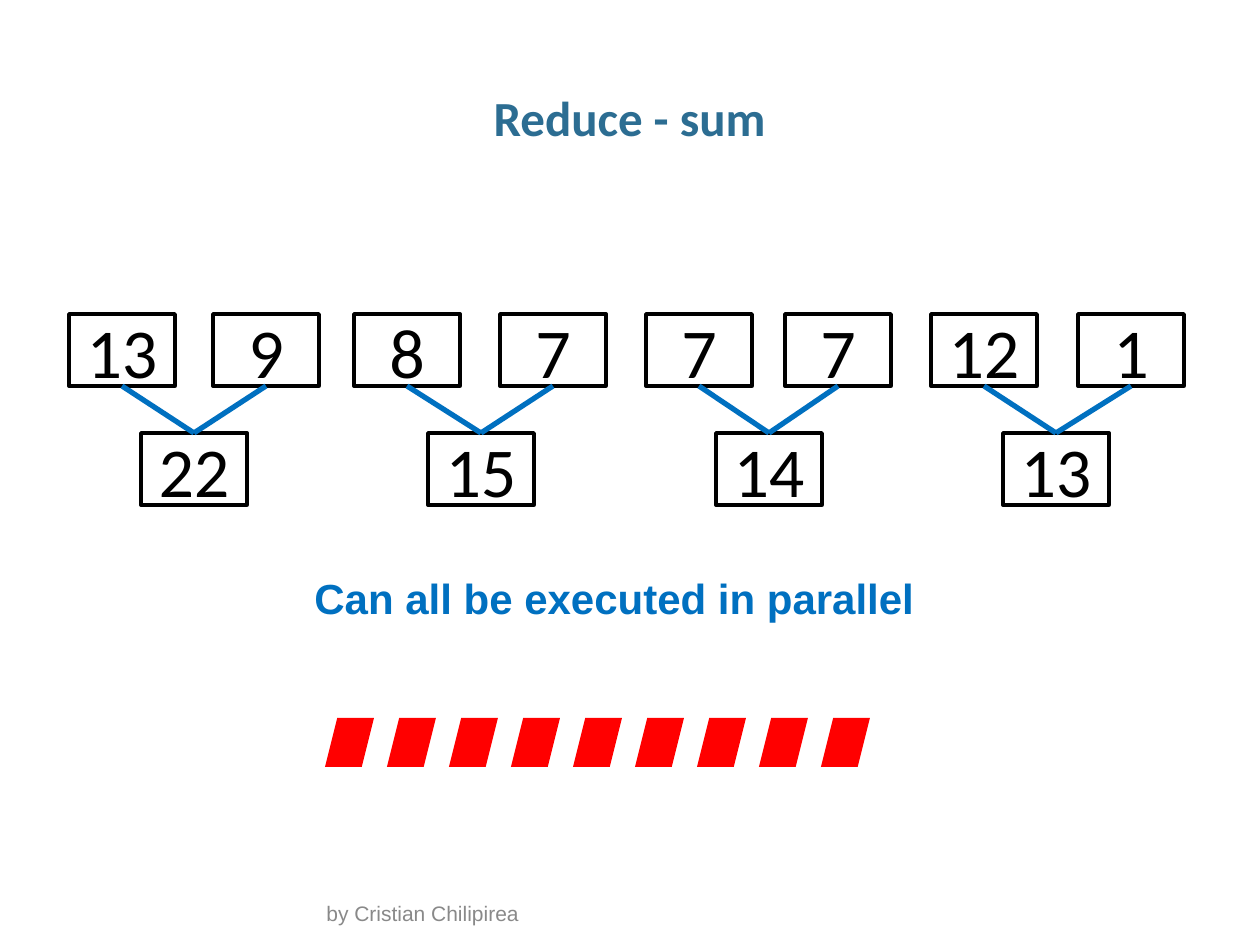
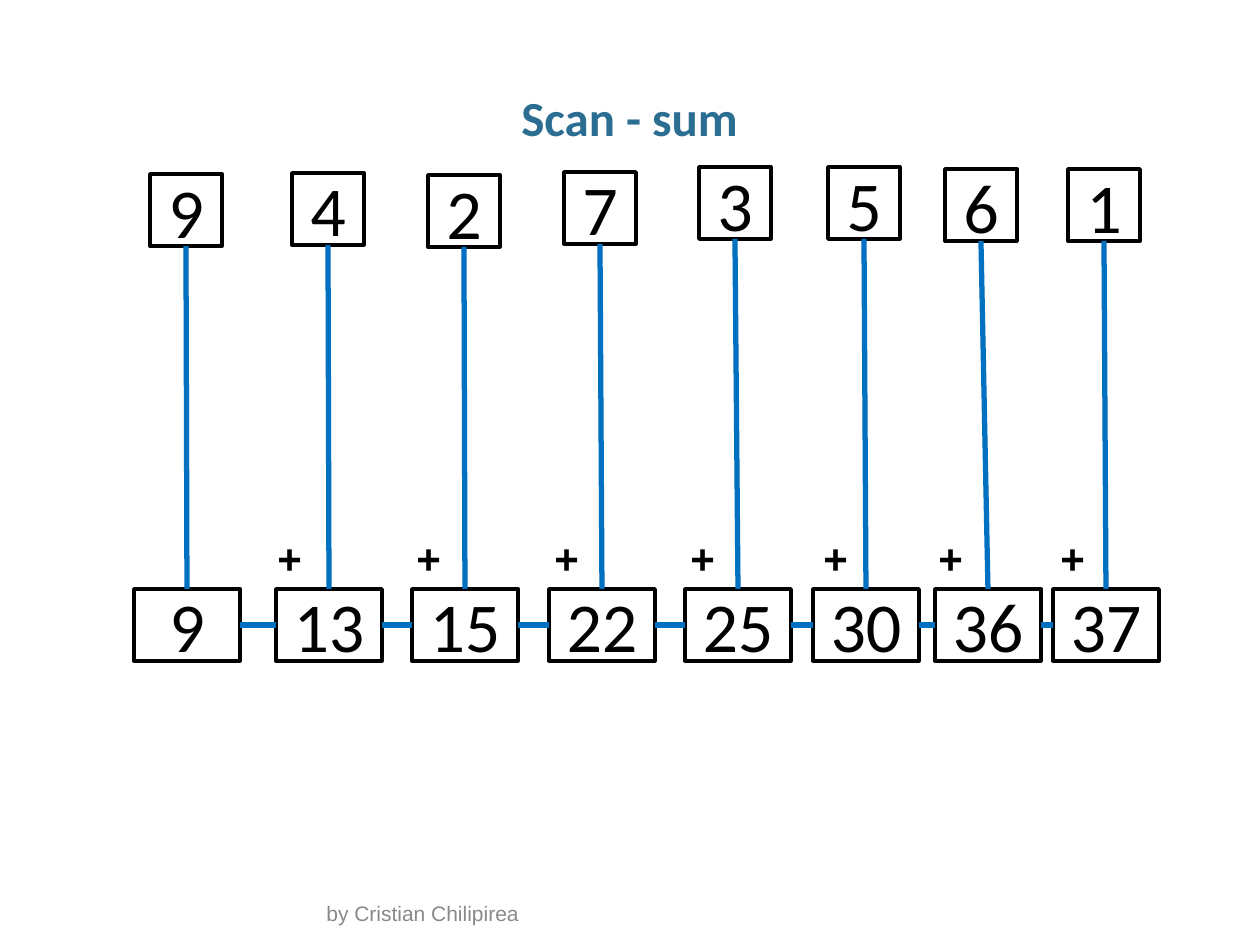
"""Build two slides on parallel reduce and scan sums."""
from lxml.etree import SubElement
from pptx import Presentation
from pptx.dml.color import RGBColor
from pptx.enum.shapes import MSO_CONNECTOR, MSO_SHAPE
from pptx.enum.text import MSO_ANCHOR, MSO_AUTO_SIZE, PP_ALIGN
from pptx.oxml.ns import qn
from pptx.util import Emu, Pt

SCALE = 914400 / 126
COLORS = {"title": "2C6D92", "footer": "898989", "ink": "000000",
          "accent": "0070C0", "block": "FF0000"}
FONTS = {
    "title": {"name": "Calibri", "size": Pt(28), "bold": True},
    "footer": {"name": "Arial", "size": Pt(12)},
    "number": {"name": "Calibri", "size": Pt(40)},
    "label": {"name": "Arial", "size": Pt(24), "bold": True},
}
FRAMES = {
    "title": {"word_wrap": True, "margin_left": 0, "margin_right": 0},
    "footer": {"word_wrap": True, "vertical_anchor": MSO_ANCHOR.BOTTOM},
    "number": {"word_wrap": True, "vertical_anchor": MSO_ANCHOR.MIDDLE},
    "label": {"word_wrap": False, "auto_size": MSO_AUTO_SIZE.SHAPE_TO_FIT_TEXT},
}
PARAGRAPHS = {
    "title": {"alignment": PP_ALIGN.CENTER, "line_spacing": 0.95},
    "footer": {"alignment": PP_ALIGN.LEFT},
    "number": {"alignment": PP_ALIGN.CENTER},
    "label": {"alignment": PP_ALIGN.LEFT},
}


def add_text(page, text, style, color, *place):
    """Add a text box, or an outlined box for a number."""
    place = [Emu(round(px * SCALE)) for px in place]
    if style == "number":
        box = page.shapes.add_shape(MSO_SHAPE.RECTANGLE, *place)
        box.shadow.inherit = False
        box.fill.background()
        box.line.color.rgb = RGBColor.from_string(COLORS["ink"])
        box.line.width = Pt(2)
    else:
        box = page.shapes.add_textbox(*place)
    frame = box.text_frame
    para = frame.paragraphs[0]
    span = para.add_run()
    span.text = text
    for target, formats in ((frame, FRAMES), (para, PARAGRAPHS), (span.font, FONTS)):
        for name, value in formats[style].items():
            setattr(target, name, value)
    span.font.color.rgb = RGBColor.from_string(COLORS[color])
    return box


def join(page, start, start_side, end, end_side):
    """Join the middles of two box sides with a line."""
    line = page.shapes.add_connector(MSO_CONNECTOR.STRAIGHT, 0, 0, 0, 0)
    line.begin_connect(start, start_side)
    line.end_connect(end, end_side)
    line.line.color.rgb = RGBColor.from_string(COLORS["accent"])
    line.line.width = Pt(3)
    SubElement(line._element.spPr, qn("a:effectLst"))


deck = Presentation()
deck.slide_width = Emu(round(1260 * SCALE))
deck.slide_height = Emu(round(945 * SCALE))
pages = []
for title in ("Reduce - sum", "Scan - sum"):
    page = deck.slides.add_slide(deck.slide_layouts[6])
    add_text(page, "by Cristian Chilipirea", "footer", "footer", 314, 902, 632, 30)
    add_text(page, title, "title", "title", 43, 86, 1173, 63)
    pages.append(page)
reduce_page, scan_page = pages

WIDE, HIGH = 106, 72
inputs = [add_text(reduce_page, str(value), "number", "ink", left, 314, WIDE, HIGH)
          for value, left in zip((13, 9, 8, 7, 7, 7, 12, 1),
                                 (69, 213, 354, 500, 646, 785, 931, 1078))]
for index, value in enumerate((22, 15, 14, 13)):
    total = add_text(reduce_page, str(value), "number", "ink",
                     141 + 2875 * index // 10, 433, WIDE, HIGH)
    for source in inputs[2 * index:2 * index + 2]:
        join(reduce_page, source, 2, total, 0)

add_text(reduce_page, "Can all be executed in parallel", "label", "accent",
         302, 566, 631, 63)
for index in range(9):
    block = reduce_page.shapes.add_shape(
        MSO_SHAPE.PARALLELOGRAM,
        *[Emu(round(px * SCALE)) for px in (325 + 62 * index, 718, 49, 49)])
    block.shadow.inherit = False
    block.fill.solid()
    block.fill.fore_color.rgb = RGBColor.from_string(COLORS["block"])
    block.line.fill.background()

columns = (
    (9, 150, 174, 134), (4, 292, 173, 276), (2, 428, 175, 412), (7, 564, 172, 549),
    (3, 699, 167, 685), (5, 828, 167, 813), (6, 945, 169, 935), (1, 1068, 169, 1053),
)
running = 0
previous = None
for value, left, top, sum_left in columns:
    running += value
    source = add_text(scan_page, str(value), "number", "ink", left, top, HIGH, HIGH)
    total = add_text(scan_page, str(running), "number", "ink",
                     sum_left, 589, WIDE, HIGH)
    join(scan_page, source, 2, total, 0)
    if previous:
        join(scan_page, previous, 3, total, 1)
    previous = total
for left in (265, 404, 542, 678, 811, 926, 1048):
    add_text(scan_page, "+", "label", "ink", left, 526, 50, 63)

deck.save("out.pptx")
